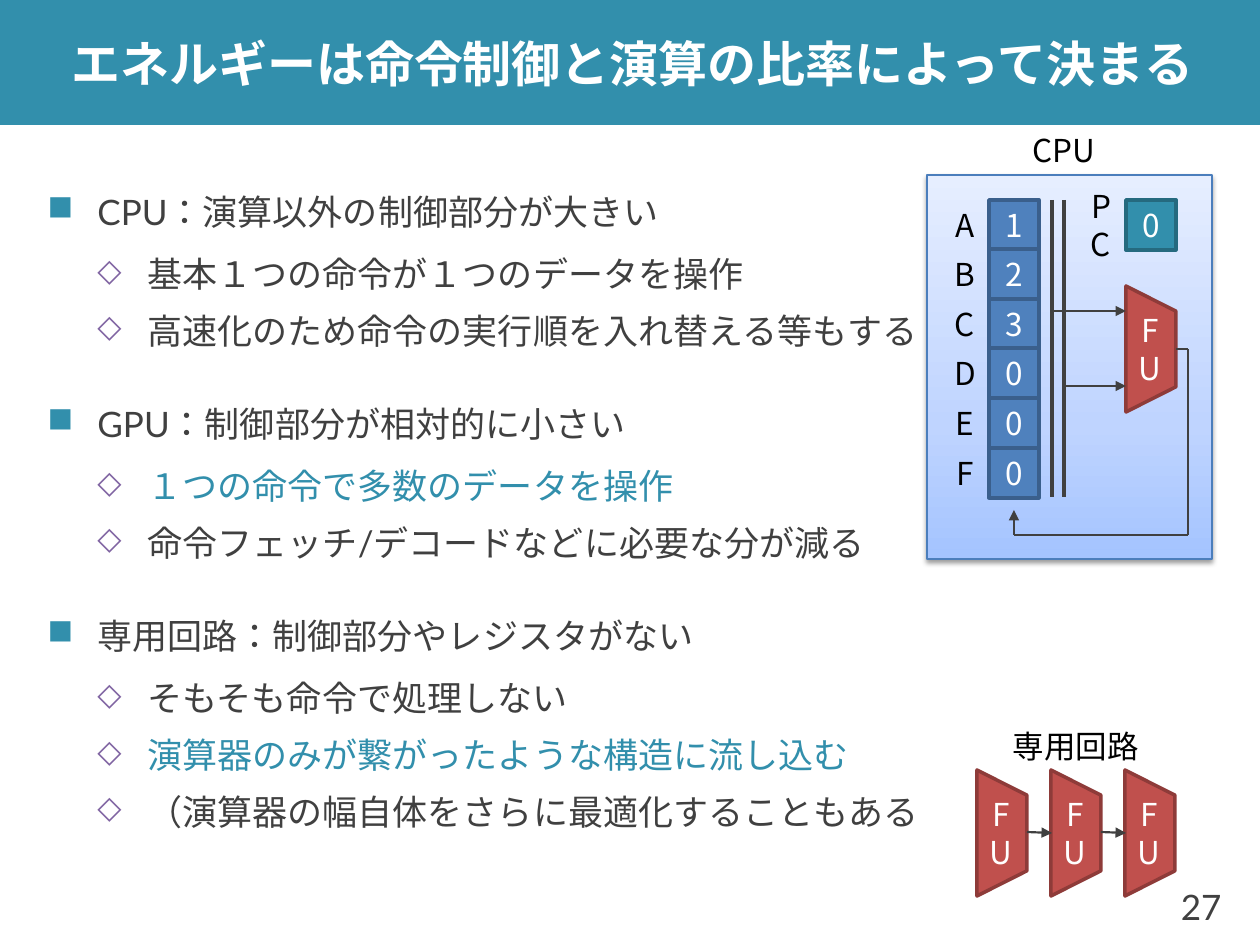
from dataclasses import dataclass
from typing import Any

import lxml.etree
import pptx
import pptx.dml.color
import pptx.enum.lang
import pptx.enum.shapes
import pptx.enum.text
import pptx.oxml.ns
import pptx.util

SCALE = 914400 / 126
SIDE = 50
SANS = "Noto Sans CJK JP"
HUE = {
    "teal": "328FAC", "sea": "256A7F", "ink": "404040", "white": "FFFFFF",
    "black": "000000", "blue": "4F81BD", "navy": "3A5F8C", "red": "C0504D",
    "wine": "8E3B39", "plum": "8064A2", "edge": "4B7EBC",
    "deep": "A4C4FF", "mid": "BFD4FF", "pale": "E6EEFF",
}
ALIGN = pptx.enum.text.PP_ALIGN
MIDDLE = pptx.enum.text.MSO_ANCHOR.MIDDLE
FORM = pptx.enum.shapes.MSO_SHAPE


@dataclass
class Box:
    x: int
    y: int
    w: int
    h: int


@dataclass
class Style:
    size: int = 18
    hue: str = "black"
    face: str = SANS
    bold: bool = False
    align: Any = ALIGN.CENTER


@dataclass
class Wire:
    x1: int
    y1: int
    x2: int
    y2: int
    arrow: bool = False
    width: float = 1.25


@dataclass
class Item:
    text: str
    level: int = 1
    hue: str = "ink"


@dataclass
class Bullet:
    mark: str
    hue: str
    size: int
    left: int
    before: int
    after: int


WHITE = Style(hue="white")
LABEL = Style()
BULLETS = [Bullet("■", "teal", 100, 50, 24, 6), Bullet("◇", "plum", 90, 100, 3, 3)]
ITEMS = [
    Item("CPU：演算以外の制御部分が大きい", 0),
    Item("基本１つの命令が１つのデータを操作"),
    Item("高速化のため命令の実行順を入れ替える等もする"),
    Item("GPU：制御部分が相対的に小さい", 0),
    Item("１つの命令で多数のデータを操作", hue="teal"),
    Item("命令フェッチ/デコードなどに必要な分が減る"),
    Item("専用回路：制御部分やレジスタがない", 0),
    Item("そもそも命令で処理しない"),
    Item("演算器のみが繋がったような構造に流し込む", hue="teal"),
    Item("（演算器の幅自体をさらに最適化することもある"),
]
CELLS = list(zip("ABCDEF", "123000"))
WIRES = [
    Wire(1052, 200, 1052, 497, width=2),
    Wire(1064, 200, 1064, 497, width=2),
    Wire(1052, 311, 1126, 311, True),
    Wire(1064, 386, 1126, 386, True),
    Wire(1014, 535, 1014, 510, True),
    Wire(1188, 535, 1014, 535),
    Wire(1188, 349, 1176, 349),
    Wire(1188, 535, 1188, 349),
]


def px(n: float) -> int:
    return round(n * SCALE)


def area(box: Box) -> list[int]:
    return [px(n) for n in (box.x, box.y, box.w, box.h)]


def rgb(hue: str) -> pptx.dml.color.RGBColor:
    return pptx.dml.color.RGBColor.from_string(HUE[hue])


def apply(thing: Any, form: dict[str, Any]) -> None:
    for key, val in form.items():
        setattr(thing, key, val)


def add_tag(base: Any, tag: str, **vals: Any) -> Any:
    node = lxml.etree.SubElement(base, pptx.oxml.ns.qn("a:" + tag))
    for key, val in vals.items():
        node.set(key, str(val))
    return node


def write(par: Any, text: str, style: Style) -> None:
    par.alignment = style.align
    run = par.add_run()
    run.text = text
    apply(run.font, {
        "size": pptx.util.Pt(style.size), "name": style.face, "bold": style.bold,
        "language_id": pptx.enum.lang.MSO_LANGUAGE_ID.JAPANESE,
    })
    run.font.color.rgb = rgb(style.hue)
    add_tag(run.font._element, "ea", typeface=SANS)


def add_text(slide: Any, box: Box, text: str, style: Style, wrap: bool = False) -> None:
    frame = slide.shapes.add_textbox(*area(box)).text_frame
    apply(frame, {"word_wrap": wrap, "vertical_anchor": MIDDLE})
    write(frame.paragraphs[0], text, style)


def add_block(slide: Any, box: Box, fill: str, line: str = "", text: str = "",
              form: Any = FORM.RECTANGLE, wrap: bool = False) -> Any:
    block = slide.shapes.add_shape(form, *area(box))
    block.shadow.inherit = False
    block.fill.solid()
    block.fill.fore_color.rgb = rgb(fill)
    if line:
        block.line.color.rgb = rgb(line)
        block.line.width = pptx.util.Pt(2)
    else:
        block.line.fill.background()
    apply(block.text_frame, {"word_wrap": wrap, "vertical_anchor": MIDDLE})
    if text:
        write(block.text_frame.paragraphs[0], text, WHITE)
    return block


def add_unit(slide: Any, x: int, y: int) -> None:
    unit = add_block(slide, Box(x - 63, y - 25, 126, SIDE), "red", "wine", "FU",
                     FORM.FLOWCHART_MANUAL_OPERATION, True)
    unit.rotation = 270
    unit.text_frame._txBody.bodyPr.set("vert", "eaVert")


def add_wire(slide: Any, wire: Wire) -> None:
    ends = [px(n) for n in (wire.x1, wire.y1, wire.x2, wire.y2)]
    link = slide.shapes.add_connector(pptx.enum.shapes.MSO_CONNECTOR.STRAIGHT, *ends)
    link.line.color.rgb = rgb("ink")
    link.line.width = pptx.util.Pt(wire.width)
    if wire.arrow:
        add_tag(link.line._get_or_add_ln(), "tailEnd", type="triangle")
    add_tag(link._element.spPr, "effectLst")


def add_title(slide: Any, text: str) -> None:
    title = slide.shapes.title
    band = add_block(slide, Box(0, 0, 1260, 125), "teal")
    title._element.addprevious(band._element)
    apply(title, dict(zip(("left", "top", "width", "height"), area(Box(59, 0, 1201, 125)))))
    apply(title.text_frame, {
        "vertical_anchor": MIDDLE, "word_wrap": True, "margin_top": 0, "margin_bottom": 0,
        "auto_size": pptx.enum.text.MSO_AUTO_SIZE.NONE,
    })
    write(title.text_frame.paragraphs[0], text, Style(28, "white", "Lato", True, ALIGN.LEFT))


def add_list(slide: Any, box: Box, items: list[Item]) -> None:
    frame = slide.shapes.add_textbox(*area(box)).text_frame
    apply(frame, {"word_wrap": True, "vertical_anchor": MIDDLE})
    for i, item in enumerate(items):
        par = frame.add_paragraph() if i else frame.paragraphs[0]
        dot = BULLETS[item.level]
        apply(par, {
            "level": item.level, "line_spacing": 1.1,
            "space_before": pptx.util.Pt(dot.before), "space_after": pptx.util.Pt(dot.after),
        })
        write(par, item.text, Style(20, item.hue, "Lato", align=ALIGN.LEFT))
        prop = par._p.get_or_add_pPr()
        prop.set("marL", str(px(dot.left)))
        prop.set("indent", str(-px(SIDE)))
        add_tag(add_tag(prop, "buClr"), "srgbClr", val=HUE[dot.hue])
        add_tag(prop, "buSzPct", val=dot.size * 1000)
        add_tag(prop, "buChar", char=dot.mark)


def add_panel(slide: Any, box: Box) -> None:
    panel = add_block(slide, box, "mid", "edge")
    panel.line.width = pptx.util.Pt(0.75)
    panel.fill.gradient()
    panel.fill.gradient_angle = 90
    first = panel.fill.gradient_stops[0]._gs
    add_tag(first.getparent(), "gs", pos=0).append(add_tag(first, "srgbClr", val=HUE["mid"]))
    for stop, (hue, pos) in zip(panel.fill.gradient_stops,
                                (("deep", 0), ("pale", 1), ("mid", 0.35))):
        stop.color.rgb = rgb(hue)
        stop.position = pos
    first.addnext(first.getparent()[-1])
    glow = add_tag(panel._element.spPr.find(pptx.oxml.ns.qn("a:effectLst")), "outerShdw",
                   blurRad=pptx.util.Pt(3.1), dist=pptx.util.Pt(1.6), dir=5400000, rotWithShape=0)
    add_tag(add_tag(glow, "srgbClr", val=HUE["black"]), "alpha", val=38000)


def main() -> None:
    deck = pptx.Presentation()
    apply(deck, {"slide_width": px(1260), "slide_height": px(945)})
    slide = deck.slides.add_slide(deck.slide_layouts[5])
    add_title(slide, "エネルギーは命令制御と演算の比率によって決まる")
    add_text(slide, Box(1150, 869, 84, 76), "27", Style(20, "ink", "Lato", align=ALIGN.RIGHT))
    add_list(slide, Box(35, 150, 1142, 719), ITEMS)
    add_panel(slide, Box(927, 175, 285, 384))
    add_text(slide, Box(915, 125, 297, SIDE), "CPU", LABEL, True)
    for i, (name, val) in enumerate(CELLS):
        y = 200 + i * 248 // 5
        add_text(slide, Box(940, y, SIDE, SIDE), name, LABEL)
        add_block(slide, Box(989, y, SIDE, SIDE), "blue", "navy", val)
    add_text(slide, Box(1076, 200, SIDE, SIDE), "PC", LABEL)
    add_block(slide, Box(1126, 200, SIDE, SIDE), "teal", "sea", "0")
    add_unit(slide, 1151, 349)
    add_text(slide, Box(927, 721, 297, SIDE), "専用回路", LABEL, True)
    for x in range(1002, 1152, 74):
        add_unit(slide, x, 833)
    chain = [Wire(x, 832, x + 25, 833, True) for x in (1027, 1101)]
    for wire in WIRES + chain:
        add_wire(slide, wire)
    deck.save("out.pptx")


if __name__ == "__main__":
    main()
